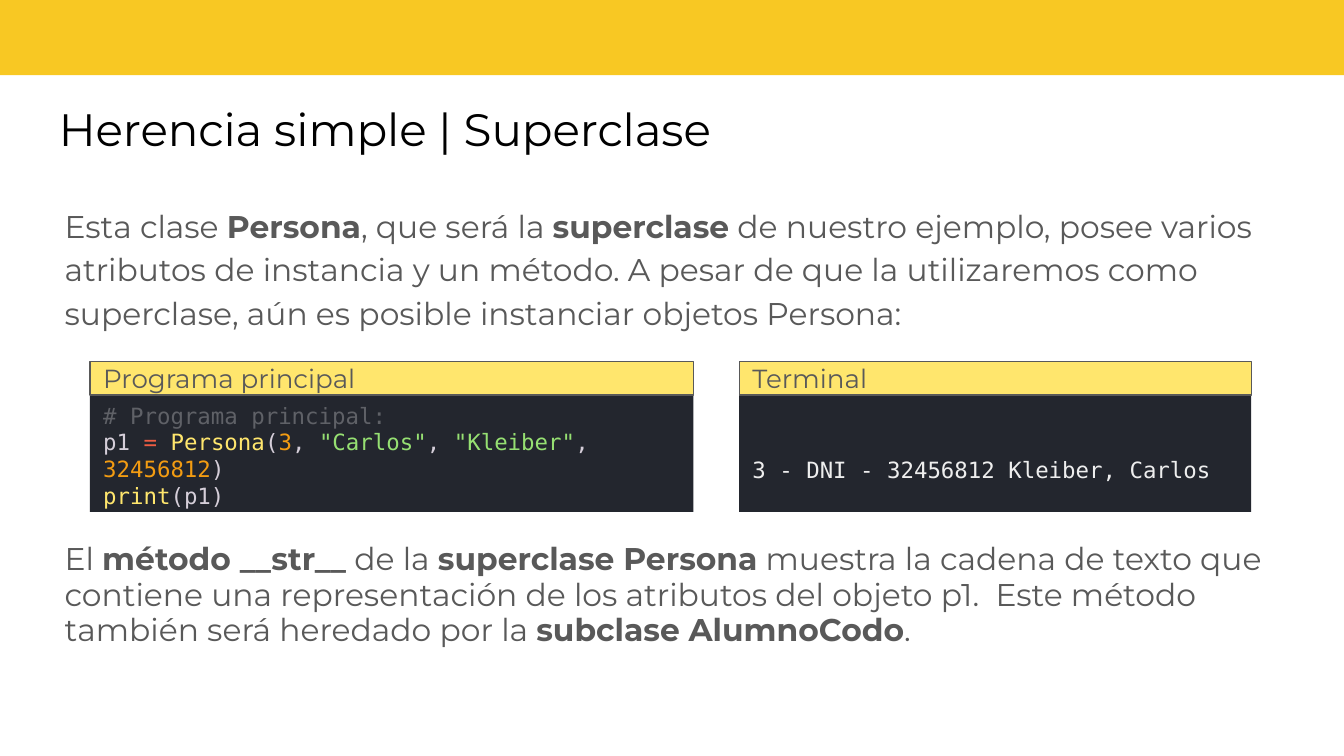
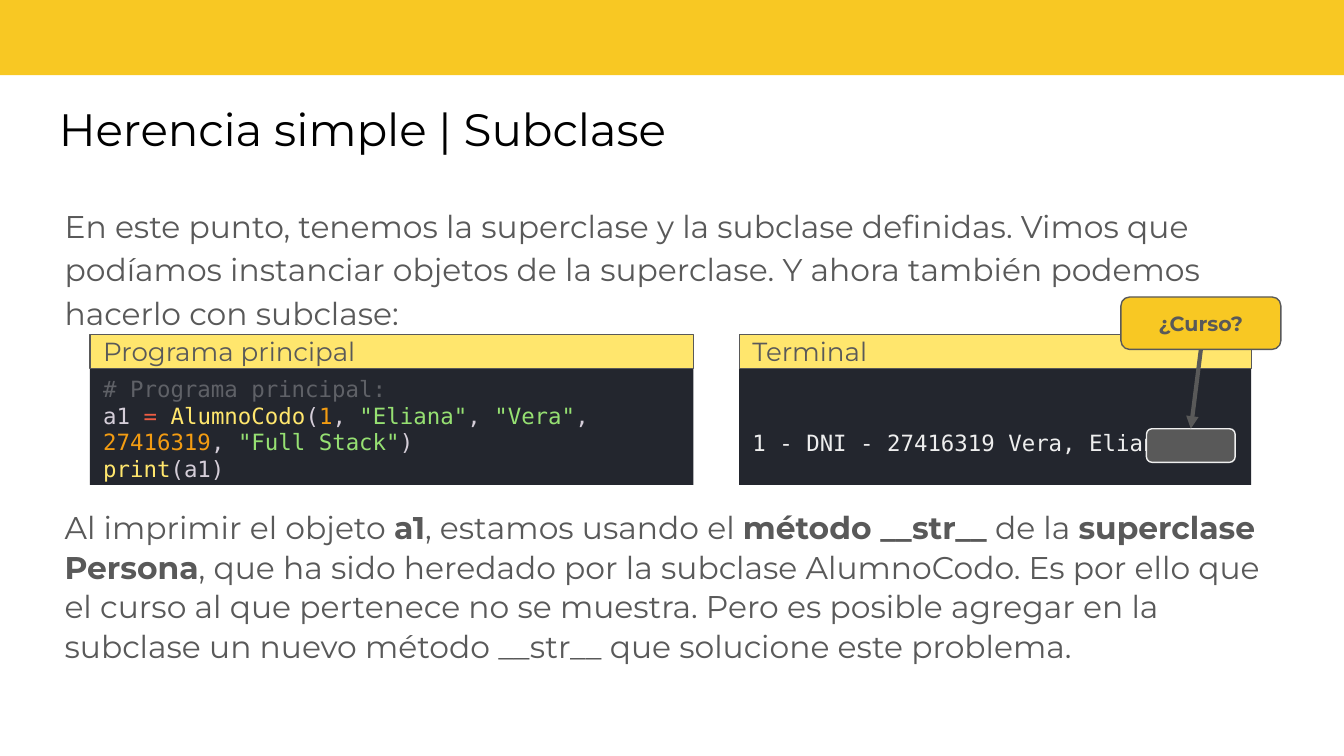
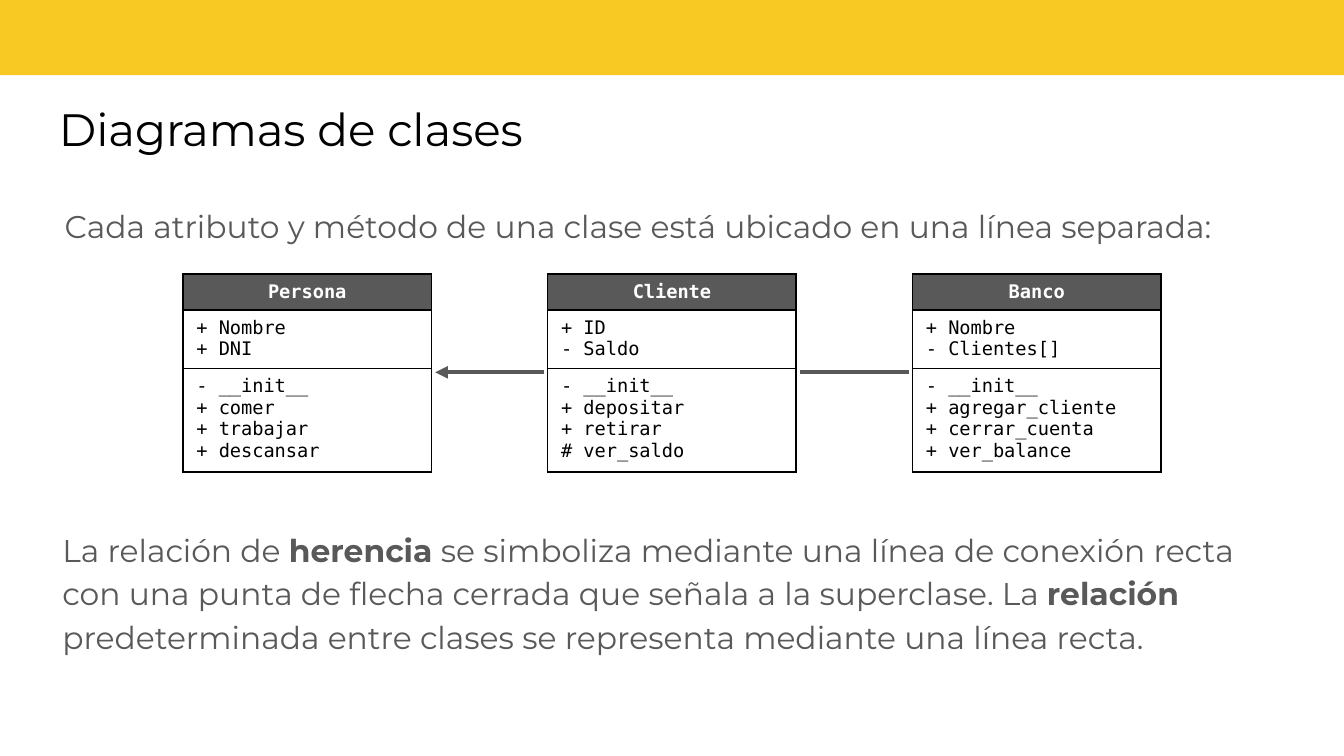
import dataclasses

import lxml.etree
import pptx
import pptx.dml.color
import pptx.enum.shapes
import pptx.enum.text
import pptx.oxml.ns
import pptx.util

Pt = pptx.util.Pt
SHAPE = pptx.enum.shapes.MSO_SHAPE
ANCHOR = pptx.enum.text.MSO_ANCHOR
CENTER = pptx.enum.text.PP_ALIGN.CENTER
qn = pptx.oxml.ns.qn


@dataclasses.dataclass(frozen=True)
class Theme:
    # Fonts
    sans: str = "Montserrat"
    mono: str = "DejaVu Sans Mono"
    # Colours
    band: str = "F8C823"
    bar: str = "FFE66D"
    panel: str = "23262E"
    grey: str = "595959"
    light: str = "EEEEEE"
    black: str = "000000"
    white: str = "FFFFFF"
    # Code colours
    plain: str = "D5CED9"
    comment: str = "5F6167"
    operator: str = "EE5D43"
    name: str = "FFE66D"
    number: str = "F39C12"
    string: str = "96E072"
    # Type sizes
    title_size: float = 24.3
    body_size: float = 16.8
    bar_size: float = 14
    code_size: float = 12
    callout_size: float = 11
    class_size: float = 10
    # Lines
    thin: float = 0.75
    arrow: float = 2.25
    border: float = 0.96


T = Theme()
BODY_LEFT, BODY_WIDTH = 34.6, 651.6
INSETS = (7.2, 3.6, 7.2, 3.6)


def rgb(value):
    return pptx.dml.color.RGBColor.from_string(value)


def set_insets(target, insets):
    (target.margin_left, target.margin_top,
     target.margin_right, target.margin_bottom) = map(Pt, insets)


def write(tf, paragraphs, font=T.sans, size=T.body_size, color=T.grey,
          bold=False, align=None, spacing=None):
    """Each paragraph is a string with **bold** parts or a list of (text, colour)."""
    for i, content in enumerate(paragraphs):
        p = tf.add_paragraph() if i else tf.paragraphs[0]
        if align is not None:
            p.alignment = align
        if spacing:
            p.line_spacing = spacing
        if isinstance(content, str):
            runs = [(part, color, bold or n % 2 == 1)
                    for n, part in enumerate(content.split("**"))]
        else:
            runs = [(part, tint, bold) for part, tint in content]
        for part, tint, strong in runs:
            r = p.add_run()
            r.text = part
            r.font.name, r.font.size, r.font.bold = font, Pt(size), strong
            r.font.color.rgb = rgb(tint)


def add_box(slide, kind, box, fill, line=None, paragraphs=(), insets=INSETS,
            anchor=ANCHOR.MIDDLE, **fmt):
    sp = slide.shapes.add_shape(kind, *map(Pt, box))
    sp.shadow.inherit = False
    sp.fill.solid()
    sp.fill.fore_color.rgb = rgb(fill)
    if line:
        sp.line.color.rgb = rgb(line)
        sp.line.width = Pt(T.thin)
    else:
        sp.line.fill.background()
    tf = sp.text_frame
    tf.word_wrap = True
    tf.vertical_anchor = anchor
    set_insets(tf, insets)
    write(tf, paragraphs, **{"align": pptx.enum.text.PP_ALIGN.LEFT, **fmt})
    return sp


def add_text(slide, box, text, insets=(0, 7.2, 0, 7.2), **fmt):
    tf = slide.shapes.add_textbox(*map(Pt, box)).text_frame
    tf.word_wrap = True
    set_insets(tf, insets)
    write(tf, [text], **fmt)


def add_line(slide, start, end, arrow=False):
    cn = slide.shapes.add_connector(pptx.enum.shapes.MSO_CONNECTOR.STRAIGHT,
                                    *map(Pt, (*start, *end)))
    cn.line.color.rgb = rgb(T.grey)
    cn.line.width = Pt(T.arrow)
    if arrow:
        lxml.etree.SubElement(cn.line._get_or_add_ln(), qn("a:tailEnd"), type="triangle")
    lxml.etree.SubElement(cn._element.spPr, qn("a:effectLst"))
    return cn


# Band, title and opening paragraph shared by every slide
def add_page(prs, title, intro):
    slide = prs.slides.add_slide(prs.slide_layouts[6])
    add_box(slide, SHAPE.RECTANGLE, (-0.7, -3.6, 722, 43.9), T.band)
    add_text(slide, (24.5, 46.8, 669.6, 45.4), title, insets=(7.2,) * 4,
             size=T.title_size, color=T.black)
    add_text(slide, (BODY_LEFT, 100.8, BODY_WIDTH, 257.8), intro, spacing=1.15)
    return slide


# Titled dark panel
def add_panel(slide, left, top, width, heading, lines, text_top=3.6):
    bar_height, panel_height = 18, 62.6
    add_box(slide, SHAPE.RECTANGLE, (left, top + bar_height, width, panel_height),
            T.panel, paragraphs=lines, insets=(7.2, text_top, 7.2, 3.6),
            anchor=ANCHOR.TOP, font=T.mono, size=T.code_size, color=T.light)
    add_box(slide, SHAPE.RECTANGLE, (left, top, width, bar_height), T.bar, T.grey,
            [heading], size=T.bar_size)


# Program and its output, side by side
def add_example(slide, top, variable, call, output):
    code = [[("# Programa principal:", T.comment)],
            [(variable + " ", T.plain), ("=", T.operator), (" ", T.plain), *call],
            [("print", T.name), (f"({variable})", T.plain)]]
    add_panel(slide, 48.2, top, 323.3, "Programa principal", code)
    add_panel(slide, 396, top, 274.3, "Terminal", [output], text_top=32.5)


def call_runs(name, *args):
    runs = [(name, T.name), ("(", T.plain)]
    for i, arg in enumerate(args):
        if i:
            runs.append((", ", T.plain))
        runs.append((arg, T.string if arg.startswith('"') else T.number))
    return runs + [(")", T.plain)]


# Callout pointing at the covered end of the output
def add_callout(slide, left, top):
    kind = SHAPE.FLOWCHART_ALTERNATE_PROCESS
    callout = add_box(slide, kind, (left, top, 85.7, 28.1), T.band, T.grey, ["¿Curso?"],
                      size=T.callout_size, bold=True, align=CENTER)
    cover = add_box(slide, kind, (left + 13.7, top + 70.6, 47.5, 18), T.grey, T.light)
    cn = add_line(slide, (left + 42.8, top + 28.1), (left + 37.4, top + 70.6), arrow=True)
    cn.begin_connect(callout, 2)
    cn.end_connect(cover, 0)


# Class box: name, attributes, methods
def add_class(slide, left, top, width, name, attributes, methods):
    heights = (18.9, 30.5, 53.8)
    frame = slide.shapes.add_table(3, 1, *map(Pt, (left, top, width, sum(heights))))
    tbl = frame.table
    tbl.first_row = tbl.horz_banding = False
    for i, (height, lines) in enumerate(zip(heights, ([name], attributes, methods))):
        tbl.rows[i].height = Pt(height)
        cell = tbl.cell(i, 0)
        set_insets(cell, INSETS)
        add_borders(cell)
        cell.fill.solid()
        cell.fill.fore_color.rgb = rgb(T.white if i else T.grey)
        write(cell.text_frame, lines, font=T.mono, size=T.class_size, bold=i == 0,
              color=T.black if i else T.white, align=None if i else CENTER)


def add_borders(cell):
    props = cell._tc.get_or_add_tcPr()
    for side in ("a:lnL", "a:lnR", "a:lnT", "a:lnB"):
        ln = lxml.etree.SubElement(props, qn(side), w=str(int(Pt(T.border))))
        fill = lxml.etree.SubElement(ln, qn("a:solidFill"))
        lxml.etree.SubElement(fill, qn("a:srgbClr"), val=T.black)


# Row of classes with the relations between them
def add_class_diagram(slide, left, top):
    width, pitch, gap = 133.2, 195.4, 2
    classes = [
        ("Persona", ["+ Nombre", "+ DNI"],
         ["- __init__", "+ comer", "+ trabajar", "+ descansar"]),
        ("Cliente", ["+ ID", "- Saldo"],
         ["- __init__", "+ depositar", "+ retirar", "# ver_saldo"]),
        ("Banco", ["+ Nombre", "- Clientes[]"],
         ["- __init__", "+ agregar_cliente", "+ cerrar_cuenta", "+ ver_balance"]),
    ]
    for i, parts in enumerate(classes):
        x = left + i * pitch
        add_class(slide, x, top, width, *parts)
        if i:
            y = top + 52.6
            add_line(slide, (x - gap, y), (x - pitch + width + gap, y), arrow=i == 1)


def superclass_slide(prs):
    slide = add_page(
        prs, "Herencia simple | Superclase",
        "Esta clase **Persona**, que será la **superclase** de nuestro ejemplo, posee "
        "varios atributos de instancia y un método. A pesar de que la utilizaremos como "
        "superclase, aún es posible instanciar objetos Persona:")
    add_example(slide, 193.7, "p1",
                call_runs("Persona", "3", '"Carlos"', '"Kleiber"', "32456812"),
                "3 - DNI - 32456812 Kleiber, Carlos")
    add_text(slide, (BODY_LEFT, 283, BODY_WIDTH, 76.3),
             "El **método __str__** de la **superclase Persona** muestra la cadena de texto "
             "que contiene una representación de los atributos del objeto p1.  Este método "
             "también será heredado por la **subclase AlumnoCodo**.", spacing=0.95)


def subclass_slide(prs):
    slide = add_page(
        prs, "Herencia simple | Subclase",
        "En este punto, tenemos la superclase y la subclase definidas. Vimos que "
        "podíamos instanciar objetos de la superclase. Y ahora también podemos hacerlo "
        "con subclase:")
    add_example(slide, 179.3, "a1",
                call_runs("AlumnoCodo", "1", '"Eliana"', '"Vera"', "27416319",
                          '"Full Stack"'),
                "1 - DNI - 27416319 Vera, Eliana")
    add_text(slide, (BODY_LEFT, 264.2, BODY_WIDTH, 98.6),
             "Al imprimir el objeto **a1**, estamos usando el **método __str__** de la "
             "**superclase Persona**, que ha sido heredado por la subclase AlumnoCodo. Es "
             "por ello que el curso al que pertenece no se muestra. Pero es posible agregar "
             "en la subclase un nuevo método __str__ que solucione este problema.",
             spacing=1.05)
    add_callout(slide, 600.5, 159.1)


def diagram_slide(prs):
    slide = add_page(
        prs, "Diagramas de clases",
        "Cada atributo y método de una clase está ubicado en una línea separada:")
    add_class_diagram(slide, 98, 146.9)
    add_text(slide, (33.4, 274.3, BODY_WIDTH, 85),
             "La relación de **herencia** se simboliza mediante una línea de conexión recta "
             "con una punta de flecha cerrada que señala a la superclase. La **relación** "
             "predeterminada entre clases se representa mediante una línea recta.",
             spacing=1.15)


def main():
    prs = pptx.Presentation()
    prs.slide_width, prs.slide_height = Pt(720), Pt(405)
    superclass_slide(prs)
    subclass_slide(prs)
    diagram_slide(prs)
    prs.save("out.pptx")


if __name__ == "__main__":
    main()
